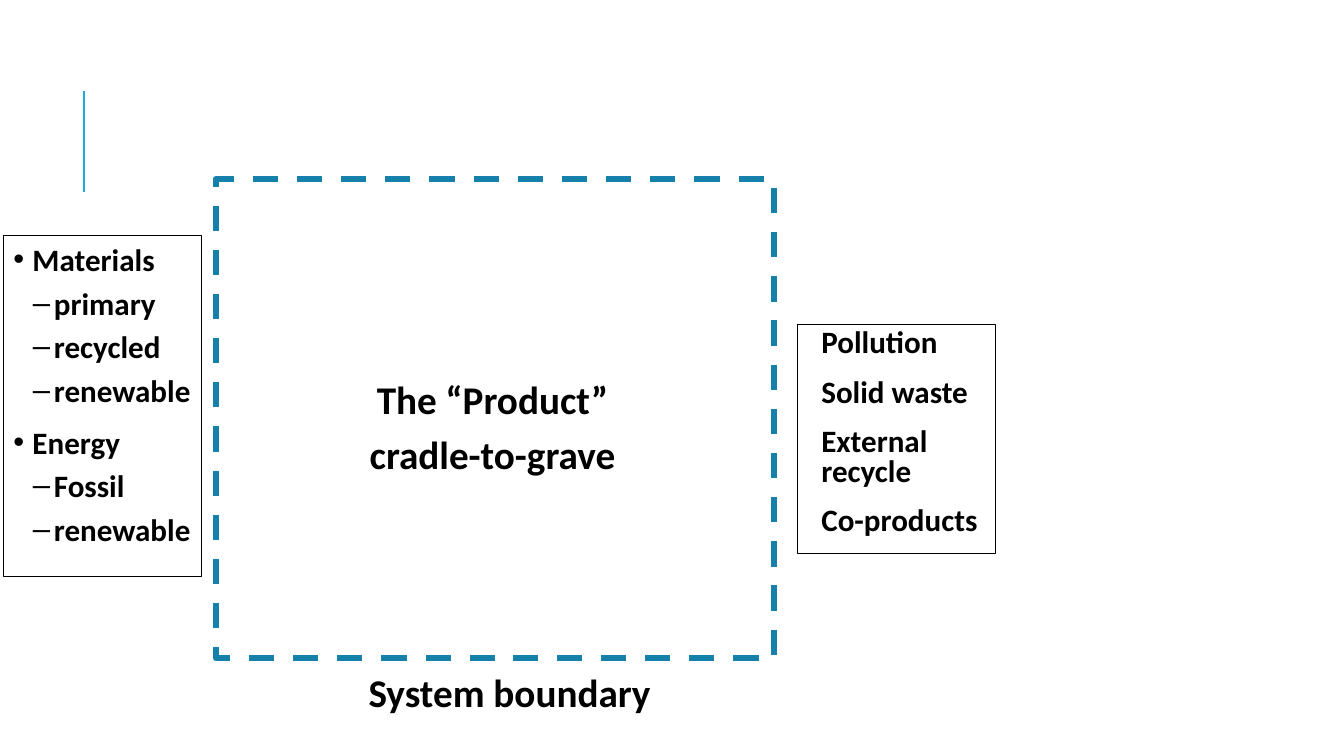
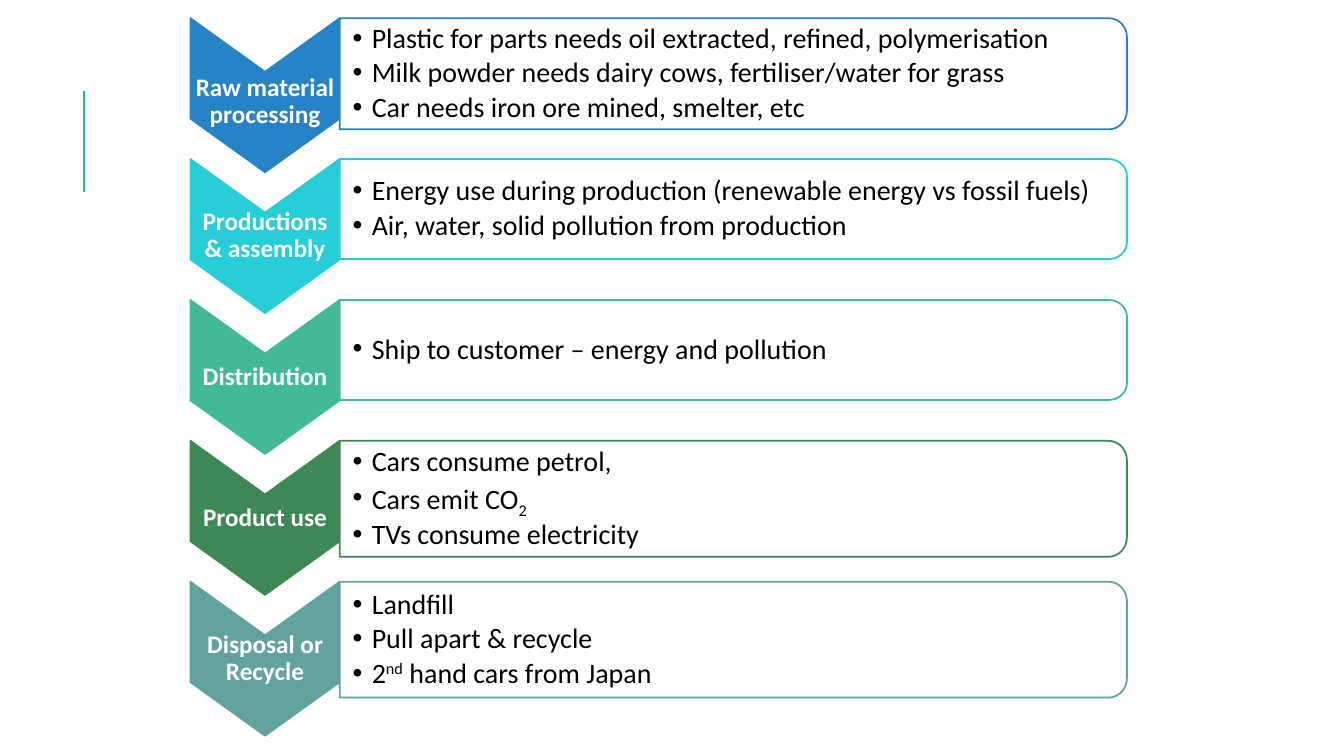
from math import cos, pi, sin

from lxml.etree import SubElement
from pptx import Presentation
from pptx.dml.color import RGBColor
from pptx.enum.dml import MSO_LINE
from pptx.enum.shapes import MSO_CONNECTOR, MSO_SHAPE
from pptx.enum.text import MSO_ANCHOR, PP_ALIGN
from pptx.oxml.ns import qn
from pptx.util import Cm, Pt

# Shared look
FONT = "Calibri"
BLACK = RGBColor(0x00, 0x00, 0x00)
WHITE = RGBColor(0xFF, 0xFF, 0xFF)
ACCENT = RGBColor(0x1C, 0xAD, 0xE4)
BOUNDARY = RGBColor(0x15, 0x80, 0xA9)
BLUE = RGBColor(0x26, 0x83, 0xC6)
CYAN = RGBColor(0x27, 0xCE, 0xD7)
MINT = RGBColor(0x42, 0xBA, 0x97)
GREEN = RGBColor(0x3E, 0x88, 0x53)
TEAL = RGBColor(0x62, 0xA3, 0x9F)

# Text formats: font, paragraph and bullet settings
LIST_FONT = {"size": Pt(22.2), "bold": True}
CAPTION_FONT = {"size": Pt(28), "bold": True}
STAGE_FONT = {"size": Pt(18), "bold": True}
DETAIL_FONT = {"size": Pt(20), "bold": False}
INPUT_SPACING = {"space_before": Pt(4.44)}
OUTPUT_SPACING = {"line_spacing": 0.8, "space_before": Pt(12), "space_after": Pt(2)}
CAPTION_SPACING = {"alignment": PP_ALIGN.CENTER, "space_before": Pt(5.6)}
STAGE_SPACING = {"alignment": PP_ALIGN.CENTER, "line_spacing": 0.9}
DETAIL_SPACING = {"line_spacing": 0.9, "space_after": Pt(3)}

# Stage rows: top of the first, distance between tops, chevron and box sizes
ROW_TOP, ROW_PITCH = 0.46, 3.55
CHEVRON_LEFT, CHEVRON_WIDTH = 4.8, 3.76
CHEVRON_SIDE, CHEVRON_NOTCH = 2.53, 1.35
DETAIL_WIDTH, CORNER_WIDTH = 19.84, 0.46

INPUTS = [
    ("Materials", ["primary", "recycled", "renewable"]),
    ("Energy", ["Fossil", "renewable"]),
]
OUTPUTS = ["Pollution", "Solid waste", "External recycle", "Co-products"]

# Colour, stage name, extra top inset, box height, points made of (text, baseline) runs
STAGES = [
    (BLUE, "Raw material processing", 0.33, 2.8, [
        [("Plastic for parts needs oil extracted, refined, polymerisation", 0)],
        [("Milk powder needs dairy cows, fertiliser/water for grass", 0)],
        [("Car needs iron ore mined, smelter, etc", 0)]]),
    (CYAN, "Productions & assembly", 0, 2.52, [
        [("Energy use during production (renewable energy vs fossil fuels)", 0)],
        [("Air, water, solid pollution from production", 0)]]),
    (MINT, "Distribution", 0, 2.52, [
        [("Ship to customer – energy and pollution", 0)]]),
    (GREEN, "Product use", 0, 2.92, [
        [("Cars consume petrol,", 0)],
        [("Cars emit CO", 0), ("2", -25)],
        [("TVs consume electricity", 0)]]),
    (TEAL, "Disposal or Recycle", 0, 2.92, [
        [("Landfill", 0)],
        [("Pull apart & recycle", 0)],
        [("2", 0), ("nd", 30), (" hand cars from Japan", 0)]]),
]


def apply_format(target, values):
    for name, value in values.items():
        setattr(target, name, value)


def set_indent(paragraph, left, hanging=0, bullet=None):
    """Indent a paragraph (in centimetres) and give it a bullet character."""
    properties = paragraph._p.get_or_add_pPr()
    properties.set("marL", str(Cm(left)))
    properties.set("indent", str(-Cm(hanging)))
    if bullet:
        SubElement(properties, qn("a:buFont"), typeface="Arial")
        SubElement(properties, qn("a:buChar"), char=bullet)


def prepare_frame(shape, insets, anchor=MSO_ANCHOR.TOP):
    """Set wrapping, anchor and left, top, right, bottom insets."""
    left, top, right, bottom = (Cm(inset) for inset in insets)
    apply_format(shape.text_frame, {
        "word_wrap": True, "vertical_anchor": anchor, "margin_left": left,
        "margin_top": top, "margin_right": right, "margin_bottom": bottom})


def add_paragraph(shape, runs, font, spacing, color=BLACK):
    """Add a paragraph of (text, baseline) runs, filling the empty first one."""
    frame = shape.text_frame
    first = frame.paragraphs[0]
    paragraph = frame.add_paragraph() if first.runs else first
    apply_format(paragraph, {"alignment": PP_ALIGN.LEFT, **spacing})
    for text, baseline in runs:
        run = paragraph.add_run()
        run.text = text
        apply_format(run.font, {"name": FONT, **font})
        run.font.color.rgb = color
        if baseline:
            run._r.get_or_add_rPr().set("baseline", str(baseline * 1000))
    return paragraph


def style_shape(shape, line_color, line_width, fill=None):
    shape.shadow.inherit = False
    if fill is None:
        shape.fill.background()
    else:
        shape.fill.solid()
        shape.fill.fore_color.rgb = fill
    shape.line.color.rgb = line_color
    shape.line.width = Pt(line_width)


def add_box(slide, left, top, width, height, line_color=BLACK, line_width=0.75):
    shape = slide.shapes.add_shape(
        MSO_SHAPE.RECTANGLE, Cm(left), Cm(top), Cm(width), Cm(height))
    style_shape(shape, line_color, line_width)
    return shape


def add_caption(slide, left, top, width, height, lines):
    shape = slide.shapes.add_textbox(Cm(left), Cm(top), Cm(width), Cm(height))
    prepare_frame(shape, (0.25, 0.13, 0.25, 0.13))
    for line in lines:
        add_paragraph(shape, [(line, 0)], CAPTION_FONT, CAPTION_SPACING)


def add_outline(slide, points, line_color, fill):
    """Draw a closed outline through points given in centimetres."""
    start, *others = [(Cm(x), Cm(y)) for x, y in points]
    builder = slide.shapes.build_freeform(*start)
    builder.add_line_segments(others, close=True)
    shape = builder.convert_to_shape()
    style_shape(shape, line_color, 1.25, fill)
    return shape


def add_chevron(slide, top, color, name, extra_inset):
    left, right = CHEVRON_LEFT, CHEVRON_LEFT + CHEVRON_WIDTH
    middle = (left + right) / 2
    bottom = top + CHEVRON_SIDE
    shape = add_outline(slide, [
        (left, top), (middle, top + CHEVRON_NOTCH), (right, top),
        (right, bottom), (middle, bottom + CHEVRON_NOTCH), (left, bottom),
    ], color, color)
    prepare_frame(shape, (0.03, 0.8 + extra_inset, 0.03, 0.8), MSO_ANCHOR.MIDDLE)
    add_paragraph(shape, [(name, 0)], STAGE_FONT, STAGE_SPACING, WHITE)


def add_detail_box(slide, top, height, color, points):
    """Draw a box with rounded right corners and a bulleted list."""
    left = CHEVRON_LEFT + CHEVRON_WIDTH
    right, bottom = left + DETAIL_WIDTH, top + height
    corner_height = height / 6
    angles = [step * pi / 16 for step in range(9)]
    upper = [(right - CORNER_WIDTH * (1 - sin(angle)),
              top + corner_height * (1 - cos(angle))) for angle in angles]
    lower = [(x, top + bottom - y) for x, y in reversed(upper)]
    shape = add_outline(
        slide, [(left, top), *upper, *lower, (left, bottom)], color, WHITE)
    prepare_frame(shape, (0.33, 0.15, 0.15, 0.15), MSO_ANCHOR.MIDDLE)
    for runs in points:
        paragraph = add_paragraph(shape, runs, DETAIL_FONT, DETAIL_SPACING)
        set_indent(paragraph, 0.48, 0.48, "•")


def add_base_slide(presentation):
    """Add a blank slide with the accent line at its upper left."""
    slide = presentation.slides.add_slide(presentation.slide_layouts[6])
    line = slide.shapes.add_connector(
        MSO_CONNECTOR.STRAIGHT, Cm(2.12), Cm(4.84), Cm(2.12), Cm(2.3))
    line.line.color.rgb = ACCENT
    line.line.width = Pt(1.5)
    SubElement(line._element.spPr, qn("a:effectLst"))
    return slide


def build_boundary_slide(presentation):
    slide = add_base_slide(presentation)

    # Inputs
    inputs = add_box(slide, 0.09, 5.93, 4.98, 8.61)
    prepare_frame(inputs, (0.25, 0.13, 0, 0.13))
    for group, items in INPUTS:
        paragraph = add_paragraph(inputs, [(group, 0)], LIST_FONT, INPUT_SPACING)
        set_indent(paragraph, 0.48, 0.48, "•")
        for item in items:
            is_last = item == items[-1]
            spacing = {**INPUT_SPACING, "space_after": Pt(6 if is_last else 0)}
            paragraph = add_paragraph(inputs, [(item, 0)], LIST_FONT, spacing)
            set_indent(paragraph, 1.02, 0.53, "–")

    # System boundary
    boundary = add_box(slide, 5.44, 4.52, 14.07, 12.07, BOUNDARY, 4.5)
    boundary.line.dash_style = MSO_LINE.DASH
    add_caption(slide, 8.31, 9.32, 8.2, 3, ["The “Product”", "cradle-to-grave"])
    add_caption(slide, 8.74, 16.71, 8.2, 1.8, ["System boundary"])

    # Outputs
    outputs = add_box(slide, 20.09, 8.18, 5, 5.77)
    prepare_frame(outputs, (0.13, 0.13, 0.13, 0.13))
    for output in OUTPUTS:
        paragraph = add_paragraph(outputs, [(output, 0)], LIST_FONT, OUTPUT_SPACING)
        set_indent(paragraph, 0.48)


def build_stages_slide(presentation):
    slide = add_base_slide(presentation)
    for row, (color, name, extra_inset, height, points) in enumerate(STAGES):
        top = ROW_TOP + row * ROW_PITCH
        add_chevron(slide, top, color, name, extra_inset)
        add_detail_box(slide, top, height, color, points)


def main():
    presentation = Presentation()
    presentation.slide_width = Cm(33.87)
    presentation.slide_height = Cm(19.05)
    build_boundary_slide(presentation)
    build_stages_slide(presentation)
    presentation.save("out.pptx")


if __name__ == "__main__":
    main()
